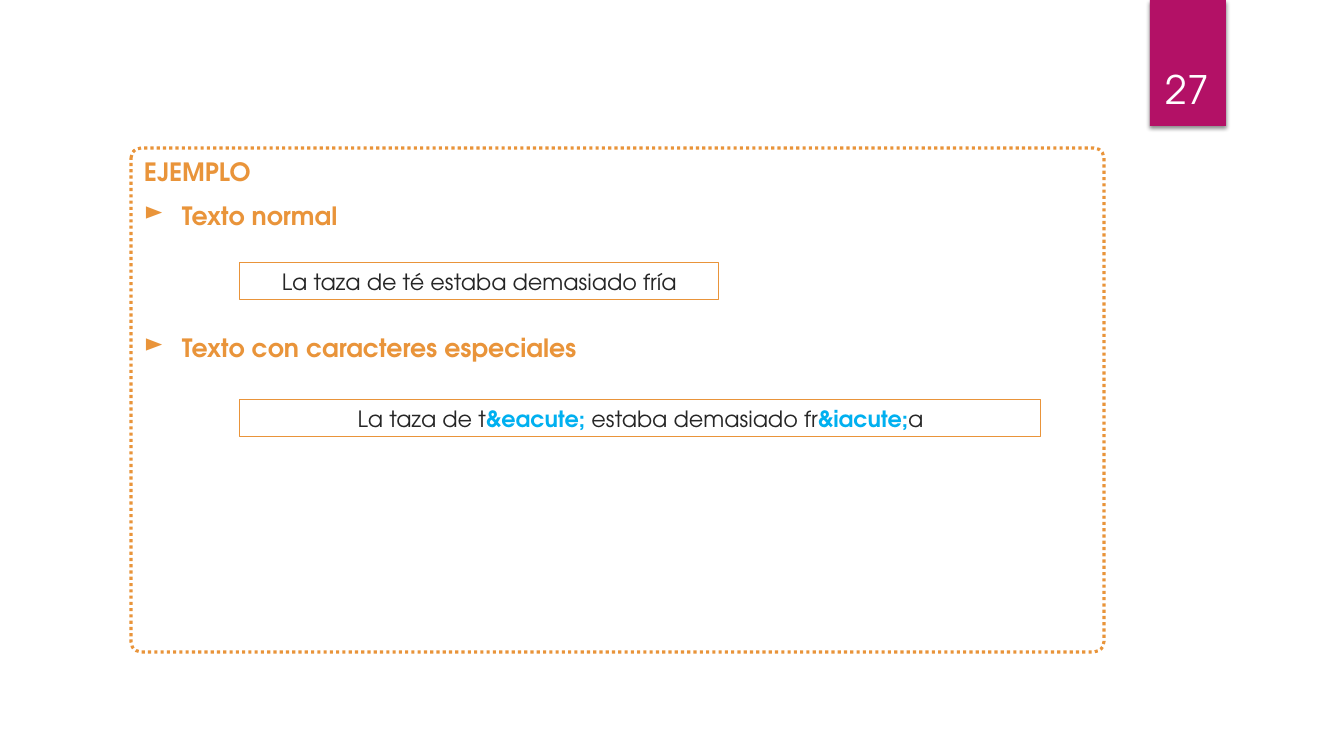
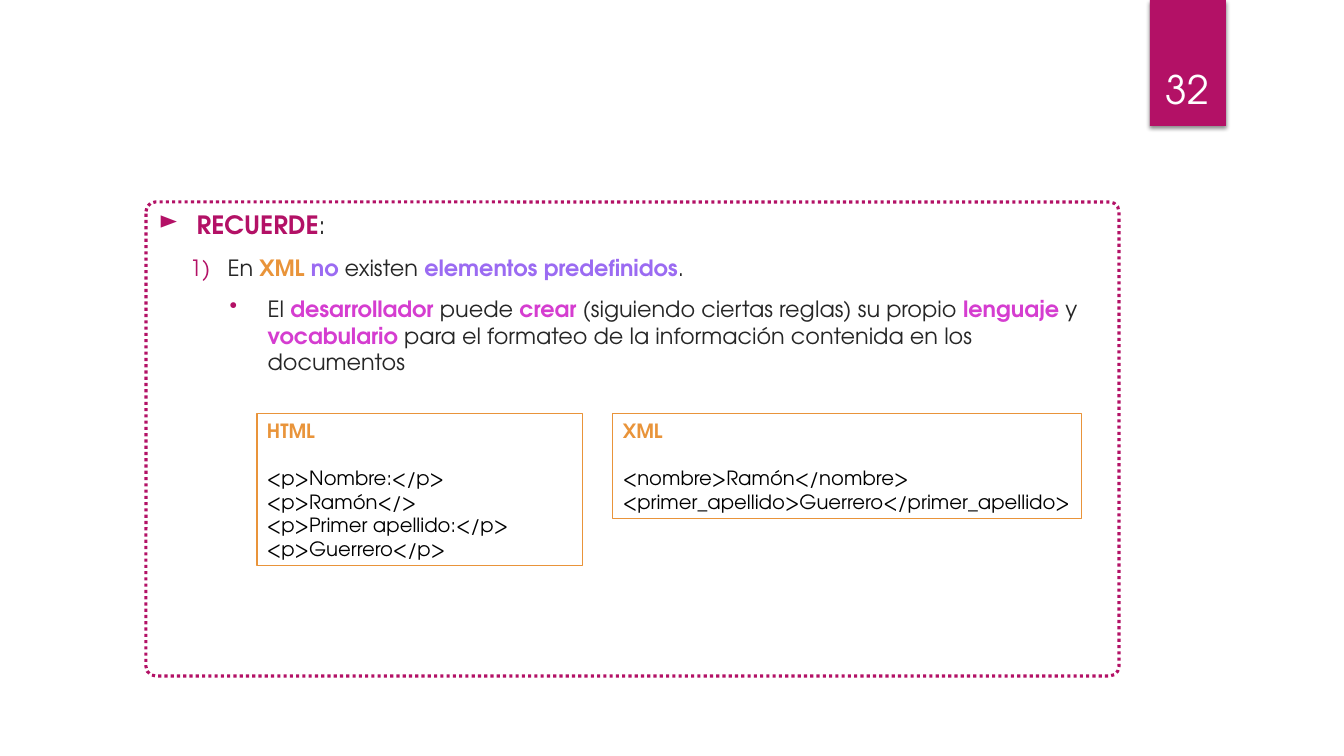
from lxml import etree
from pptx import Presentation
from pptx.dml.color import RGBColor
from pptx.enum.dml import MSO_LINE
from pptx.enum.shapes import MSO_SHAPE
from pptx.enum.text import MSO_ANCHOR, MSO_AUTO_SIZE, PP_ALIGN
from pptx.oxml import parse_xml
from pptx.oxml.ns import nsdecls, qn
from pptx.util import Emu, Pt

EMU_PER_PX = 914400 / 100.8
FONT = "TeX Gyre Adventor"

WHITE = RGBColor(0xFF, 0xFF, 0xFF)
BLACK = RGBColor(0x00, 0x00, 0x00)
TEXT = RGBColor(0x26, 0x26, 0x26)
MAGENTA = RGBColor(0xB3, 0x11, 0x66)
ORANGE = RGBColor(0xE9, 0x94, 0x3A)
BLUE = RGBColor(0x00, 0xB0, 0xF0)
PURPLE = RGBColor(0x9B, 0x6B, 0xF2)
PINK = RGBColor(0xD5, 0x3D, 0xD0)
PLAIN = (WHITE, BLACK, TEXT)

RECT = MSO_SHAPE.RECTANGLE
ROUNDED = MSO_SHAPE.ROUNDED_RECTANGLE
DOTTED = MSO_LINE.ROUND_DOT
TOP, BOTTOM = MSO_ANCHOR.TOP, MSO_ANCHOR.BOTTOM
LEFT, CENTER = PP_ALIGN.LEFT, PP_ALIGN.CENTER
GROW = MSO_AUTO_SIZE.SHAPE_TO_FIT_TEXT

HANG = 38
GAP = 10
CODE_SIZE = 14
CODE_GAP = 17
ARROW = ("buChar", {"char": "►"})
DOT = ("buChar", {"char": "•"})
NUMBER = ("buAutoNum", {"type": "arabicParenR"})


def px(n):
    return Emu(round(n * EMU_PER_PX))


def box(*lengths):
    return [px(n) for n in lengths]


def setup_frame(tf, anchor=TOP):
    tf.word_wrap = True
    tf.vertical_anchor = anchor
    tf.margin_left = tf.margin_right = px(10)
    tf.margin_top = tf.margin_bottom = px(5)


def add_bullet(p, bullet, color, indent):
    pPr = p._p.get_or_add_pPr()
    pPr.set("marL", str(px(indent)))
    pPr.set("indent", str(-px(HANG)))
    clr = etree.SubElement(pPr, qn("a:buClr"))
    etree.SubElement(clr, qn("a:srgbClr"), val=str(color))
    tag, attrs = bullet
    etree.SubElement(pPr, qn("a:" + tag), attrs)


def add_paragraph(tf, runs, size, before=0, align=LEFT, bullet=None,
                  bullet_color=None, indent=HANG):
    first = tf.paragraphs[0]
    p = tf.add_paragraph() if first.runs else first
    if bullet:
        add_bullet(p, bullet, bullet_color, indent)
    p.alignment = align
    p.space_before = Pt(before)
    for text, color in runs:
        r = p.add_run()
        r.text = text
        r.font.name = FONT
        r.font.size = Pt(size)
        r.font.bold = color not in PLAIN
        r.font.color.rgb = color


def add_page_band(slide, number):
    sp = slide.shapes.add_shape(RECT, *box(1150, 0, 76, 126))
    sp.fill.solid()
    sp.fill.fore_color.rgb = MAGENTA
    sp.line.fill.background()
    sp.shadow.inherit = False
    effects = sp._element.spPr.find(qn("a:effectLst"))
    effects.append(parse_xml(
        f'<a:outerShdw {nsdecls("a")} blurRad="{Pt(3)}" dist="{Pt(2)}" dir="5400000">'
        '<a:srgbClr val="000000"><a:alpha val="45000"/></a:srgbClr></a:outerShdw>'))
    tf = slide.shapes.add_textbox(*box(1141, 32, 93, 85)).text_frame
    setup_frame(tf, BOTTOM)
    add_paragraph(tf, [(number, WHITE)], 28, align=CENTER)


def add_dotted_panel(slide, left, top, height, color):
    sp = slide.shapes.add_shape(ROUNDED, *box(left, top, 973, height))
    sp.adjustments[0] = 0.02
    sp.fill.background()
    sp.line.color.rgb = color
    sp.line.width = Pt(2.25)
    sp.line.dash_style = DOTTED
    sp.shadow.inherit = False
    setup_frame(sp.text_frame)
    return sp.text_frame


def add_outlined_box(slide, left, top, width, height):
    sp = slide.shapes.add_textbox(*box(left, top, width, height))
    sp.line.color.rgb = ORANGE
    sp.line.width = Pt(0.75)
    tf = sp.text_frame
    setup_frame(tf)
    tf.auto_size = GROW
    return tf


def add_sample(slide, top, width, runs):
    tf = add_outlined_box(slide, 240, top, width, 37)
    add_paragraph(tf, runs, 16, align=CENTER)


def add_code_box(slide, left, width, height, title, lines):
    tf = add_outlined_box(slide, left, 414, width, height)
    add_paragraph(tf, [(title, ORANGE)], CODE_SIZE)
    for i, line in enumerate(lines):
        add_paragraph(tf, [(line, BLACK)], CODE_SIZE, before=0 if i else CODE_GAP)


def new_slide(prs, number):
    slide = prs.slides.add_slide(prs.slide_layouts[6])
    add_page_band(slide, number)
    return slide


def build_example(prs):
    slide = new_slide(prs, "27")
    tf = add_dotted_panel(slide, 131, 148, 504, ORANGE)
    add_paragraph(tf, [("EJEMPLO", ORANGE)], 18)
    for text, before in (("Texto normal", GAP), ("Texto con caracteres especiales", 73)):
        add_paragraph(tf, [(text, ORANGE)], 18, before, bullet=ARROW, bullet_color=ORANGE)
    add_sample(slide, 263, 479, [("La taza de té estaba demasiado fría", TEXT)])
    add_sample(slide, 400, 801, [
        ("La taza de t", TEXT), ("&eacute; ", BLUE), ("estaba demasiado fr", TEXT),
        ("&iacute;", BLUE), ("a", TEXT)])


def build_reminder(prs):
    slide = new_slide(prs, "32")
    tf = add_dotted_panel(slide, 146, 202, 474, MAGENTA)
    add_paragraph(tf, [("RECUERDE", MAGENTA), (":", TEXT)], 18,
                  bullet=ARROW, bullet_color=MAGENTA)
    add_paragraph(tf, [
        ("En ", TEXT), ("XML ", ORANGE), ("no", PURPLE), (" existen ", TEXT),
        ("elementos predefinidos", PURPLE), (".", TEXT)],
        16, GAP, bullet=NUMBER, bullet_color=MAGENTA, indent=69)
    add_paragraph(tf, [
        ("El ", TEXT), ("desarrollador", PINK), (" puede ", TEXT), ("crear", PINK),
        (" (siguiendo ciertas reglas) su propio ", TEXT), ("lenguaje", PINK),
        (" y ", TEXT), ("vocabulario", PINK),
        (" para el formateo de la información contenida en los documentos", TEXT)],
        16, GAP, bullet=DOT, bullet_color=MAGENTA, indent=109)
    add_code_box(slide, 257, 326, 152, "HTML", [
        "<p>Nombre:</p>", "<p>Ramón</>", "<p>Primer apellido:</p>", "<p>Guerrero</p>"])
    add_code_box(slide, 613, 469, 105, "XML", [
        "<nombre>Ramón</nombre>", "<primer_apellido>Guerrero</primer_apellido>"])


def main():
    prs = Presentation()
    prs.slide_width, prs.slide_height = box(1344, 756)
    build_example(prs)
    build_reminder(prs)
    prs.save("out.pptx")


if __name__ == "__main__":
    main()
